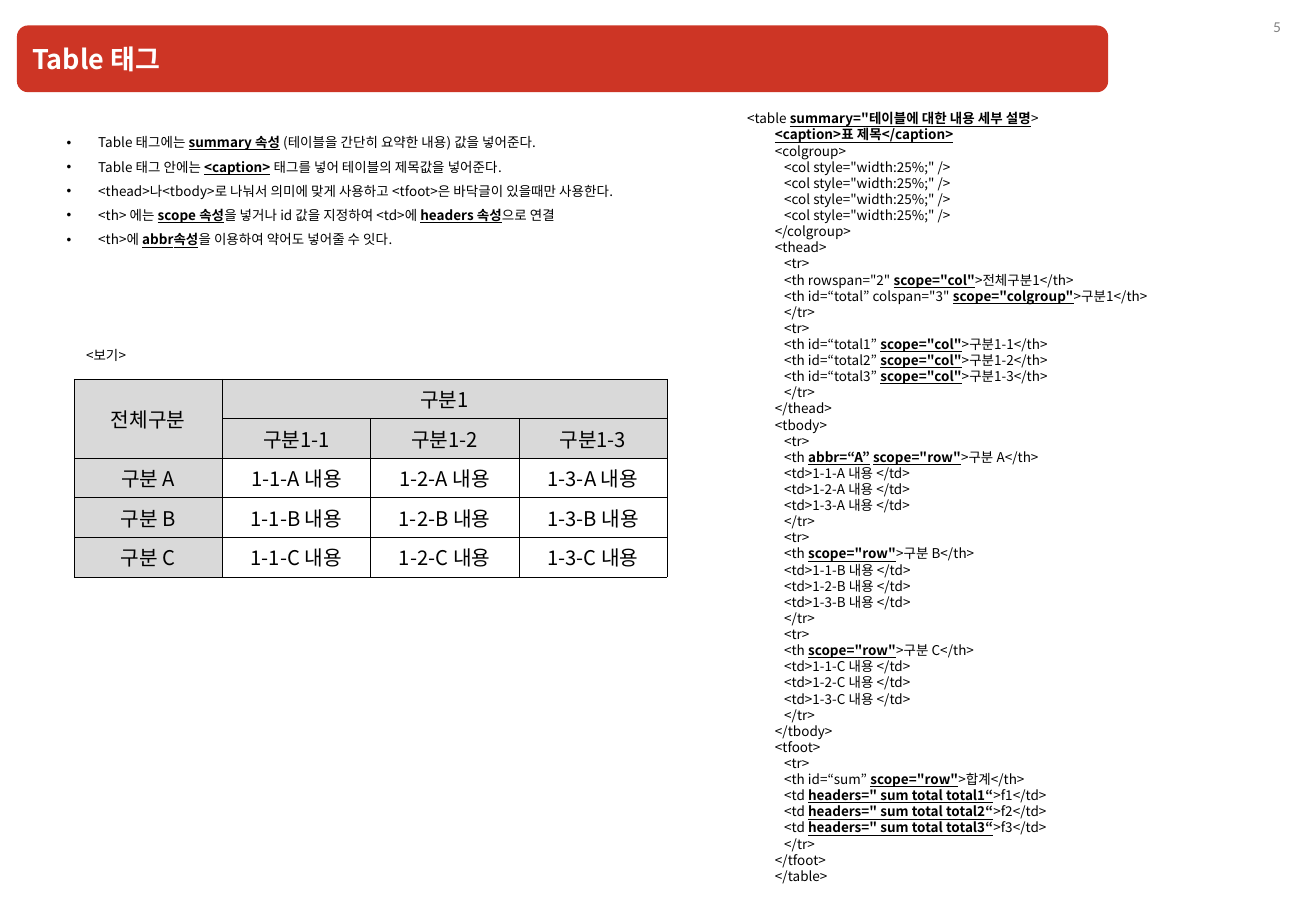
from dataclasses import dataclass

from lxml.etree import SubElement
from pptx import Presentation
from pptx.dml.color import RGBColor
from pptx.enum.shapes import MSO_SHAPE
from pptx.enum.text import MSO_ANCHOR, PP_ALIGN
from pptx.oxml.ns import qn
from pptx.util import Inches, Pt

ROUND = MSO_SHAPE.ROUNDED_RECTANGLE
MIDDLE = MSO_ANCHOR.MIDDLE
LEFT, CENTER = PP_ALIGN.LEFT, PP_ALIGN.CENTER
WIDE, HIGH = Inches(10.83), Inches(7.5)
KOREAN, LATIN = "Noto Sans CJK KR", "Lato"
COLORS = {"red": "CD3525", "white": "FFFFFF", "black": "000000",
          "gray": "808080", "head": "D9D9D9"}


@dataclass
class Box:
    left: float
    top: float
    width: float
    height: float

    def place(self) -> tuple[int, int, int, int]:
        return (across(self.left), down(self.top),
                across(self.width), down(self.height))


@dataclass
class Style:
    size: float = 8
    color: str = "black"
    font: str = KOREAN
    bold: bool = False
    align: int = LEFT
    pitch: float = 0
    bullet: float = 0


@dataclass
class Line:
    text: str
    indent: float = 0


@dataclass
class Cell:
    row: int
    col: int
    text: str


def across(share: float) -> int:
    return round(WIDE * share / 100)


def down(share: float) -> int:
    return round(HIGH * share / 100)


def paint(color: str) -> RGBColor:
    return RGBColor.from_string(COLORS[color])


def write(para, line: Line, style: Style) -> None:
    para.alignment = style.align
    if style.pitch:
        para.line_spacing = Pt(style.pitch)
    props = para._p.get_or_add_pPr()
    if style.bullet:
        props.set("marL", str(across(style.bullet)))
        props.set("indent", str(-across(style.bullet)))
        SubElement(props, qn("a:buFont")).set("typeface", "Arial")
        SubElement(props, qn("a:buChar")).set("char", "•")
    elif line.indent:
        props.set("marL", str(across(line.indent)))
        props.set("indent", "0")
    for index, piece in enumerate(line.text.split("|")):
        if not piece:
            continue
        strong = index % 2 == 1
        run = para.add_run()
        run.text = piece
        run.font.size = Pt(style.size)
        run.font.bold = style.bold or strong
        run.font.underline = strong
        run.font.color.rgb = paint(style.color)
        run.font.name = style.font
        SubElement(run._r.get_or_add_rPr(), qn("a:ea")).set("typeface", style.font)


def fill_text(frame, lines: list[Line], style: Style) -> None:
    for index, line in enumerate(lines):
        para = frame.add_paragraph() if index else frame.paragraphs[0]
        write(para, line, style)


def add_text(slide, box: Box, lines: list[Line], style: Style, wrap: bool = True) -> None:
    frame = slide.shapes.add_textbox(*box.place()).text_frame
    frame.word_wrap = wrap
    fill_text(frame, lines, style)


def add_title(slide, box: Box, text: str) -> None:
    bar = slide.shapes.add_shape(ROUND, *box.place())
    bar.shadow.inherit = False
    bar.fill.solid()
    bar.fill.fore_color.rgb = paint("red")
    bar.line.fill.background()
    bar.text_frame.vertical_anchor = MIDDLE
    fill_text(bar.text_frame, [Line(text)], Style(16, "white", bold=True))


def add_border(cell) -> None:
    props = cell._tc.get_or_add_tcPr()
    for side in ("lnL", "lnR", "lnT", "lnB"):
        edge = SubElement(props, qn(f"a:{side}"))
        edge.set("w", str(Pt(0.25)))
        solid = SubElement(edge, qn("a:solidFill"))
        SubElement(solid, qn("a:srgbClr")).set("val", COLORS["black"])


def add_grid(slide, box: Box, cells: list[Cell], rows: int, cols: int) -> None:
    table = slide.shapes.add_table(rows, cols, *box.place()).table
    for row in table.rows:
        row.height = down(box.height / rows)
    for col in table.columns:
        col.width = across(box.width / cols)
    for row in range(rows):
        for col in range(cols):
            cell = table.cell(row, col)
            add_border(cell)
            cell.margin_top = cell.margin_bottom = down(0.4)
            cell.vertical_anchor = MIDDLE
            if row < 2 or col == 0:
                cell.fill.solid()
                cell.fill.fore_color.rgb = paint("head")
            else:
                cell.fill.background()
    table.cell(0, 0).merge(table.cell(1, 0))
    table.cell(0, 1).merge(table.cell(0, cols - 1))
    for item in cells:
        frame = table.cell(item.row, item.col).text_frame
        fill_text(frame, [Line(item.text)], Style(12, align=CENTER))


def wrap_row(*cells: str) -> list[str]:
    return ["<tr>", *cells, "</tr>"]


def wrap_part(tag: str, body: list[str]) -> list[Line]:
    return [Line(f"<{tag}>", OUTER), *(Line(text, INNER) for text in body),
            Line(f"</{tag}>", OUTER)]


OUTER, INNER = 2.12, 2.82
NUMS, KINDS = (1, 2, 3), "ABC"

notes = [
    "Table 태그에는 |summary 속성| (테이블을 간단히 요약한 내용) 값을 넣어준다.",
    "Table 태그 안에는 |<caption>| 태그를 넣어 테이블의 제목값을 넣어준다.",
    "<thead>나<tbody>로 나눠서 의미에 맞게 사용하고 <tfoot>은 바닥글이 있을때만 사용한다.",
    "<th> 에는 |scope 속성|을 넣거나 id 값을 지정하여 <td>에 |headers 속성|으로 연결",
    "<th>에 |abbr속성|을 이용하여 약어도 넣어줄 수 잇다.",
]

head = wrap_row('<th rowspan="2" |scope="col"|>전체구분1</th>',
                '<th id=“total” colspan="3" |scope="colgroup"|>구분1</th>')
head += wrap_row(*(f'<th id=“total{n}” |scope="col"|>구분1-{n}</th>' for n in NUMS))
body = []
for kind in KINDS:
    abbr = "|abbr=“A”| " if kind == "A" else ""
    body += wrap_row(f'<th {abbr}|scope="row"|>구분 {kind}</th>',
                     *(f"<td>1-{n}-{kind} 내용 </td>" for n in NUMS))
foot = wrap_row('<th id=“sum” |scope="row"|>합계</th>',
                *(f'<td |headers=" sum total total{n}“|>f{n}</td>' for n in NUMS))
code = [
    Line('<table |summary="테이블에 대한 내용 세부 설명|>'),
    Line("|<caption>표 제목</caption>|", OUTER),
    *wrap_part("colgroup", ['<col style="width:25%;" />'] * 4),
    *wrap_part("thead", head),
    *wrap_part("tbody", body),
    *wrap_part("tfoot", foot),
    Line("</table>", OUTER),
]

cells = [Cell(0, 0, "전체구분"), Cell(0, 1, "구분1")]
cells += [Cell(1, n, f"구분1-{n}") for n in NUMS]
for row, kind in enumerate(KINDS, 2):
    cells.append(Cell(row, 0, f"구분 {kind}"))
    cells += [Cell(row, n, f"1-{n}-{kind} 내용") for n in NUMS]

deck = Presentation()
deck.slide_width, deck.slide_height = WIDE, HIGH
slide = deck.slides.add_slide(deck.slide_layouts[6])
add_text(slide, Box(95.48, 1.47, 3.14, 3.2), [Line("5")],
         Style(color="gray", font=LATIN, align=CENTER), wrap=False)
add_title(slide, Box(1.29, 2.8, 82.92, 7.33), "Table 태그")
add_text(slide, Box(5.63, 37.47, 5.36, 3.2), [Line("<보기>")], Style(), wrap=False)
add_text(slide, Box(4.16, 13.2, 48.75, 17.47), [Line(note) for note in notes],
         Style(pitch=14.4, bullet=2.4))
add_text(slide, Box(55.86, 11.47, 39.8, 86.93), code, Style(pitch=9.55))
add_grid(slide, Box(5.63, 41.6, 45.06, 21.73), cells, 5, 4)
deck.save("out.pptx")
